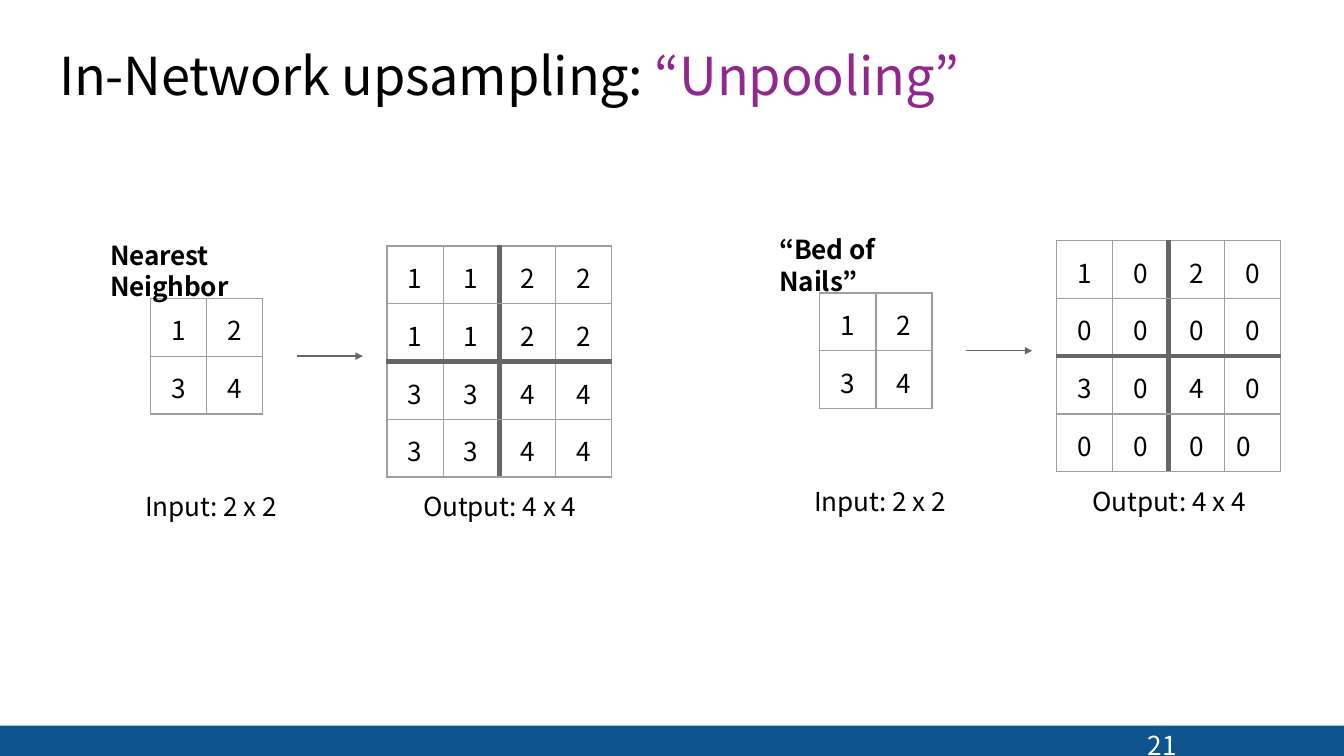
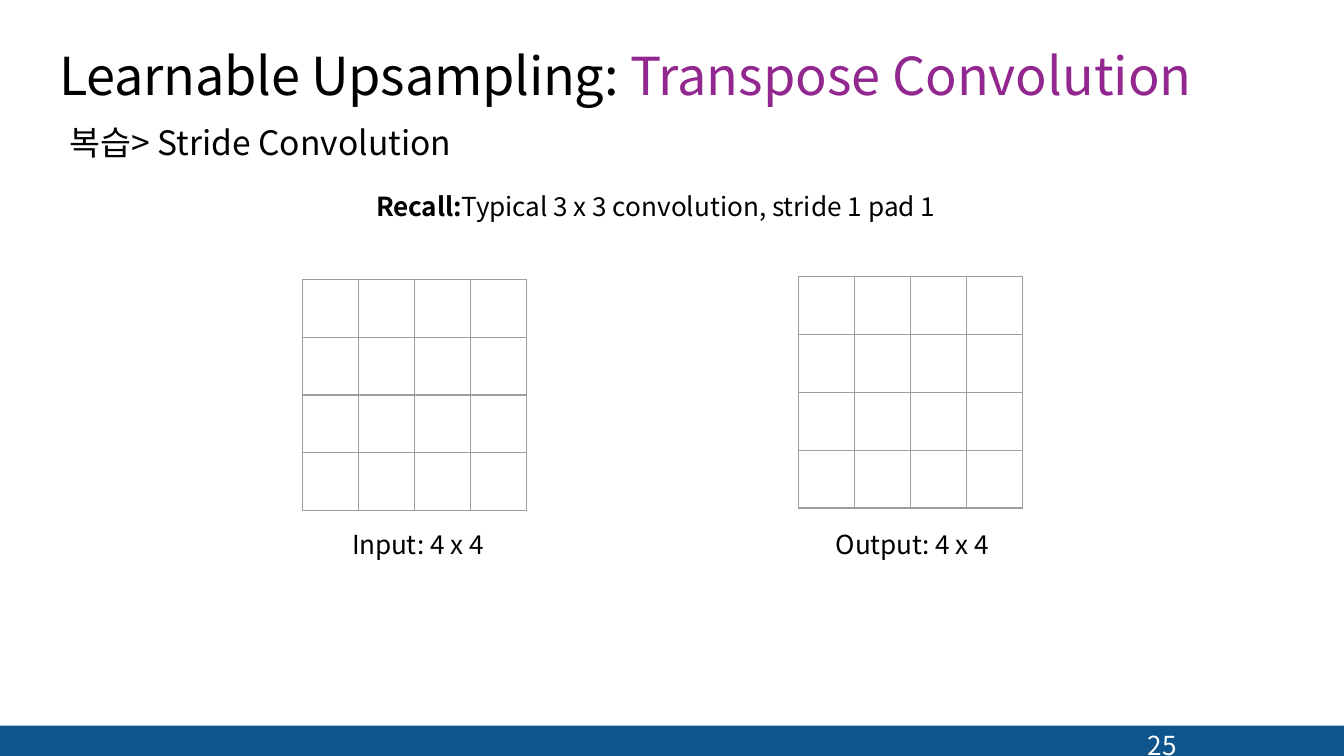
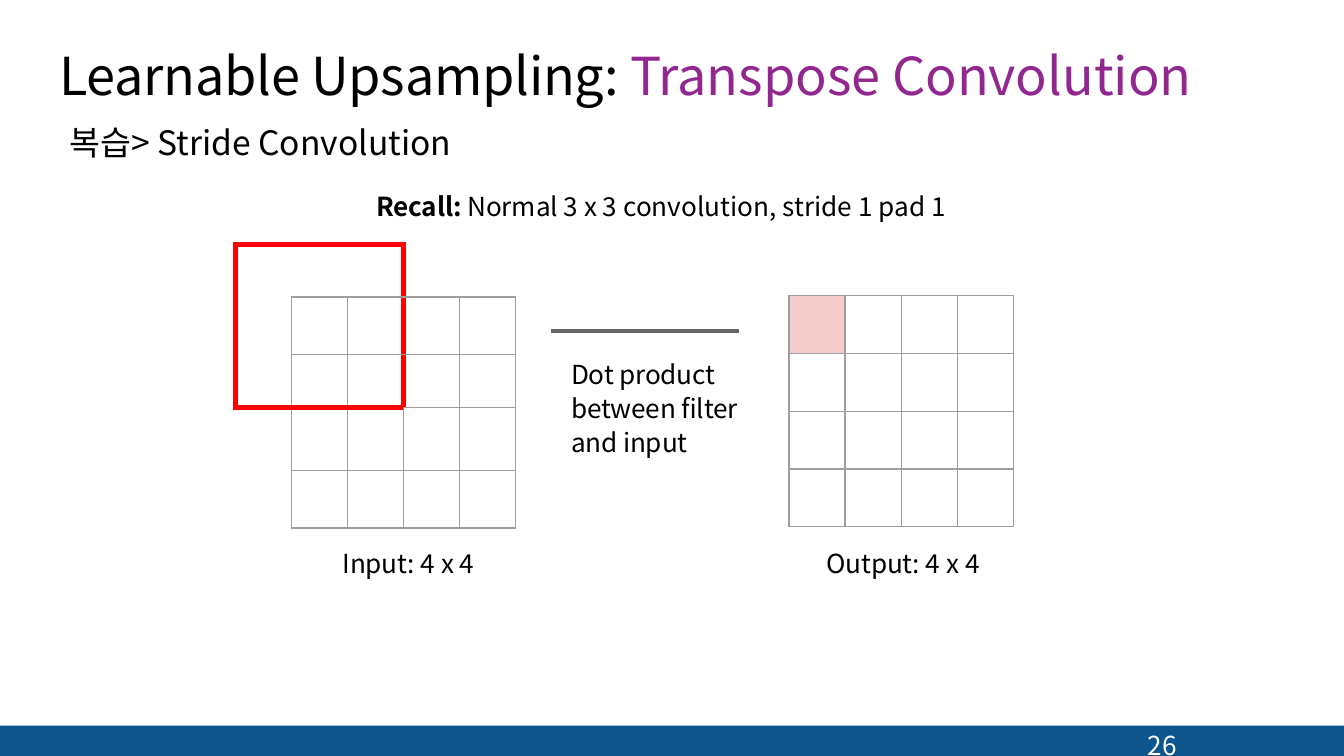
from dataclasses import dataclass

from lxml import etree
from pptx import Presentation
from pptx.dml.color import RGBColor
from pptx.enum.shapes import MSO_CONNECTOR, MSO_SHAPE
from pptx.enum.text import MSO_AUTO_SIZE, PP_ALIGN
from pptx.oxml.ns import qn
from pptx.util import Inches, Pt

RECT = MSO_SHAPE.RECTANGLE
STRAIGHT = MSO_CONNECTOR.STRAIGHT
GROW = MSO_AUTO_SIZE.SHAPE_TO_FIT_TEXT
LEFT, CENTER = PP_ALIGN.LEFT, PP_ALIGN.CENTER


@dataclass(frozen=True)
class Theme:
    font: str = "Noto Sans CJK KR"
    text: str = "000000"
    accent: str = "92278F"
    band: str = "0D558C"
    white: str = "FFFFFF"
    grid: str = "9E9E9E"
    dark: str = "666666"
    filter: str = "FF0000"
    result: str = "F4CCCC"
    title_pt: int = 28
    subtitle_pt: int = 18
    body_pt: int = 14
    thin: float = 0.75
    medium: float = 2.25
    thick: float = 3


T = Theme()
SLIDE_W = 10
SLIDE_H = SLIDE_W * 9 / 16
BAND_TOP = 5.4
CELL_W, CELL_H = 1.67 / 4, 0.43
TIGHT = -0.1
PLAIN_TABLE = "{2D5ABB26-0587-4C30-8999-92F81FD0307C}"
SIDES = ["L", "R", "T", "B"]


# Text
def write(tf, *lines, size=T.body_pt, color=T.text, bold=False, align=LEFT,
          leading=None, before=0):
    """Each line is a string or a list of (text, format) runs."""
    for i, line in enumerate(lines):
        p = tf.paragraphs[0] if i == 0 else tf.add_paragraph()
        p.alignment = align
        if leading:
            p.line_spacing = Pt(leading)
        if i and before:
            p.space_before = Pt(before)
        for text, fmt in [(line, {})] if isinstance(line, str) else line:
            r = p.add_run()
            r.text = text
            r.font.size = Pt(size)
            r.font.bold = fmt.get("bold", bold)
            r.font.color.rgb = RGBColor.from_string(fmt.get("color", color))
            r.font.name = T.font
            rPr = r._r.get_or_add_rPr()
            etree.SubElement(rPr, qn("a:ea"), typeface=T.font)
            if "spacing" in fmt:
                rPr.set("spc", str(round(fmt["spacing"] * 100)))


def add_text(s, box, *lines, inset=(0.01, 0.01, 0, 0), **fmt):
    sp = s.shapes.add_textbox(*map(Inches, box))
    tf = sp.text_frame
    tf.word_wrap = True
    tf.auto_size = GROW
    (tf.margin_left, tf.margin_top,
     tf.margin_right, tf.margin_bottom) = map(Inches, inset)
    write(tf, *lines, **fmt)
    return sp


# Lines
def add_line(s, x, y, length, width, arrow=False):
    c = s.shapes.add_connector(STRAIGHT, Inches(x), Inches(y),
                               Inches(x + length), Inches(y))
    c.line.color.rgb = RGBColor.from_string(T.dark)
    c.line.width = Pt(width)
    if arrow:
        etree.SubElement(c.line._get_or_add_ln(), qn("a:tailEnd"),
                         type="triangle", w="sm", len="sm")
    etree.SubElement(c._element.spPr, qn("a:effectLst"))


# Table borders
def stroke(cell, side, color, width):
    tcPr = cell._tc.get_or_add_tcPr()
    tags = [qn(f"a:ln{name}") for name in SIDES]
    k = SIDES.index(side)
    for old in tcPr.findall(tags[k]):
        tcPr.remove(old)
    ln = etree.Element(tags[k], w=str(Pt(width)))
    fill = etree.SubElement(ln, qn("a:solidFill"))
    etree.SubElement(fill, qn("a:srgbClr"), val=color)
    tcPr.insert(sum(child.tag in tags[:k] for child in tcPr), ln)


def rule_v(table, k, rows, color, width):
    """Draw the line before column k on both cells that share it."""
    for row in rows:
        if k > 0:
            stroke(table.cell(row, k - 1), "R", color, width)
        if k < len(table.columns):
            stroke(table.cell(row, k), "L", color, width)


def rule_h(table, k, cols, color, width):
    """Draw the line before row k on both cells that share it."""
    for col in cols:
        if k > 0:
            stroke(table.cell(k - 1, col), "B", color, width)
        if k < len(table.rows):
            stroke(table.cell(k, col), "T", color, width)


def add_grid(s, x, y, n, values=None, row_heights=None, first=0):
    """Square table whose grid lines start at row and column `first`."""
    heights = row_heights or [CELL_H] * n
    frame = s.shapes.add_table(n, n, Inches(x), Inches(y),
                               Inches(n * CELL_W), Inches(sum(heights)))
    table = frame.table
    table.first_row = table.horz_banding = False
    table._tbl.tblPr.find(qn("a:tableStyleId")).text = PLAIN_TABLE
    for i in range(n):
        table.columns[i].width = Inches(CELL_W)
        table.rows[i].height = Inches(heights[i])
    for i, cell in enumerate(table.iter_cells()):
        cell.margin_left = cell.margin_right = cell.margin_bottom = 0
        cell.margin_top = Inches(0.09) if values else 0
        cell.fill.background()
        if values:
            write(cell.text_frame, values[i], align=CENTER)
    for k in range(first, n + 1):
        rule_v(table, k, range(first, n), T.grid, T.thin)
        rule_h(table, k, range(first, n), T.grid, T.thin)
    return table


# Parts shared by the slides
def base_slide(prs, title, topic, number):
    s = prs.slides.add_slide(prs.slide_layouts[6])
    band = s.shapes.add_shape(RECT, 0, Inches(BAND_TOP), Inches(SLIDE_W),
                              Inches(SLIDE_H - BAND_TOP))
    band.shadow.inherit = False
    band.fill.solid()
    band.fill.fore_color.rgb = RGBColor.from_string(T.band)
    band.line.fill.background()
    add_text(s, (0.43, 0.31, 8.91, 0.49),
             [(title, {"spacing": TIGHT}), (topic, {"color": T.accent})],
             size=T.title_pt)
    add_text(s, (8.5, 5.34, 0.39, 0.32), str(number),
             inset=(0.04, 0, 0, 0), color=T.white, leading=23.1)
    return s


def caption(s, x, y, name, n):
    add_text(s, (x, y, 1.42, 0.25),
             [(f"{name}: ", {"spacing": TIGHT}), (f"{n} x {n}", {})])


# Unpooling: one method with its input, arrow and output
def unpooling_panel(s, x, y, heading, heading_w, values, divider):
    add_grid(s, x + 0.31, y + 0.45, 2, "1234")
    out = add_grid(s, x + 2.07, y + 0.06, 4, values)
    rule_v(out, 2, range(4), T.dark, T.thick)
    rule_h(out, 2, range(4), T.dark, divider)
    caption(s, x + 0.26, y + 1.87, "Input", 2)
    caption(s, x + 2.33, y + 1.87, "Output", 4)
    add_text(s, (x, y, heading_w, 0.25), [(heading, {"spacing": TIGHT})],
             bold=True)
    add_line(s, x + 1.4, y + 0.88, 0.49, T.thin, arrow=True)
    return out


def unpooling_slide(prs):
    s = base_slide(prs, "In-Network upsampling: ", "“Unpooling”", 21)
    unpooling_panel(s, 0.81, 1.77, "Nearest Neighbor", 1.65,
                    "1122" * 2 + "3344" * 2, T.thick)
    nails = unpooling_panel(s, 5.79, 1.73, "“Bed of Nails”", 1.28,
                            "1020" + "0000" + "3040" + "0000", T.medium)
    # The last zero sits left of its cell's centre
    last = nails.cell(3, 3)
    last.margin_left = Inches(0.09)
    last.text_frame.paragraphs[0].alignment = LEFT


# Convolution: heading, output grid and captions
def convolution_slide(prs, number, recall, kind, x, y, caption_y):
    s = base_slide(prs, "Learnable Upsampling: ", "Transpose Convolution",
                   number)
    add_text(s, (0.42, 0.86, 3.06, 0.4), "복습> Stride Convolution",
             inset=(0.1, 0.05, 0.1, 0.05), size=T.subtitle_pt)
    add_text(s, (2.79, 1.41, 5.78, 0.25),
             [(recall, {"bold": True, "spacing": TIGHT}),
              (kind, {"spacing": TIGHT}),
              ("3 x 3 convolution, stride 1 ", {}),
              ("pad ", {"spacing": TIGHT}), ("1", {})])
    out = add_grid(s, x + 3.69, y - 0.02, 4)
    caption(s, x + 0.36, caption_y, "Input", 4)
    caption(s, x + 3.96, caption_y, "Output", 4)
    return s, out


def plain_convolution_slide(prs):
    x, y = 2.25, 2.08
    s, _ = convolution_slide(prs, 25, "Recall:", "Typical ", x, y, 3.92)
    add_grid(s, x, y, 4)


def padded_input(s, x, y):
    """5 x 5 table: padding on two sides, a 3 x 3 filter at the corner."""
    table = add_grid(s, x, y, 5, first=1,
                     row_heights=[0.39, 0.43, 0.39, 0.47, 0.43])
    for k in (0, 3):
        rule_v(table, k, range(3), T.filter, T.thick)
        rule_h(table, k, range(3), T.filter, T.thick)
    stroke(table.cell(0, 0), "R", T.filter, T.thick)
    stroke(table.cell(1, 0), "B", T.filter, T.thick)
    for start, end in [((0, 0), (0, 2)), ((0, 3), (0, 4)),
                       ((1, 0), (2, 0)), ((3, 0), (4, 0))]:
        table.cell(*start).merge(table.cell(*end))


def filter_slide(prs):
    x, y = 2.18, 2.22
    s, out = convolution_slide(prs, 26, "Recall: ", "Normal ", x, y, 4.06)
    padded_input(s, x - 0.43, y - 0.4)
    result = out.cell(0, 0)
    result.fill.solid()
    result.fill.fore_color.rgb = RGBColor.from_string(T.result)
    # Dot product between the grids
    add_line(s, 4.1, 2.46, 1.4, T.medium)
    add_text(s, (4.24, 2.64, 1.42, 0.78),
             *[[(line, {"spacing": TIGHT})] for line in
               ("Dot product", "between filter", "and input")],
             inset=(0.01, 0.03, 0, 0), leading=16.5, before=1.8)


def main():
    prs = Presentation()
    prs.slide_width, prs.slide_height = Inches(SLIDE_W), Inches(SLIDE_H)
    unpooling_slide(prs)
    plain_convolution_slide(prs)
    filter_slide(prs)
    prs.save("out.pptx")


if __name__ == "__main__":
    main()
